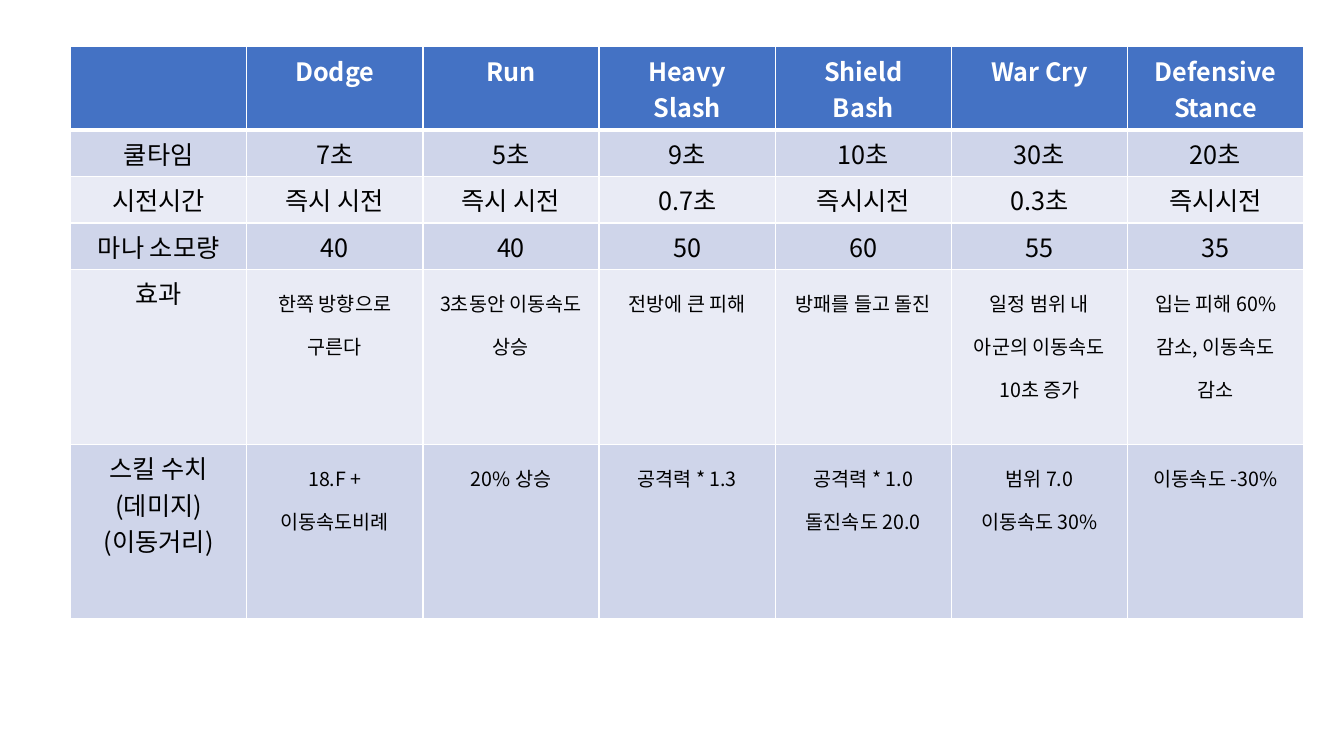
from lxml import etree
from pptx import Presentation, util as u
from pptx.dml.color import RGBColor
from pptx.enum import text
from pptx.oxml import ns

FONT = "Noto Sans CJK KR"
COLORS = {
    "header": "4472C4",
    "band_dark": "CFD5EA",
    "band_light": "E9EBF5",
    "border": "FFFFFF",
    "header_text": "FFFFFF",
    "body_text": "000000",
}
ROW_HEIGHTS = [1.93, 1.12, 1.12, 1.12, 4.4, 4.4]
FIRST_DETAIL_ROW = 4
SKILLS = [
    ["", "Dodge", "Run", "Heavy\nSlash", "Shield\nBash", "War Cry", "Defensive\nStance"],
    ["쿨타임", "7초", "5초", "9초", "10초", "30초", "20초"],
    ["시전시간", "즉시 시전", "즉시 시전", "0.7초", "즉시시전", "0.3초", "즉시시전"],
    ["마나 소모량", "40", "40", "50", "60", "55", "35"],
    ["효과", "한쪽 방향으로 구른다", "3초동안 이동속도 상승", "전방에 큰 피해",
     "방패를 들고 돌진", "일정 범위 내 아군의 이동속도 10초 증가",
     "입는 피해 60% 감소, 이동속도 감소"],
    ["스킬 수치\n(데미지)\n(이동거리)", "18.F + 이동속도비례", "20% 상승", "공격력 * 1.3",
     "공격력 * 1.0\n돌진속도 20.0", "범위 7.0\n이동속도 30%", "이동속도 -30%"],
]


def write(frame, content, size=18, color="body_text", bold=False, spacing=None):
    """Fill a text frame with one centred paragraph per line of content."""
    for index, line in enumerate(content.split("\n")):
        para = frame.paragraphs[0] if index == 0 else frame.add_paragraph()
        para.alignment = text.PP_ALIGN.CENTER
        para.line_spacing = spacing
        para.font.size = u.Pt(size)
        if not line:
            continue
        span = para.add_run()
        span.text = line
        span.font.name = FONT
        span.font.size = u.Pt(size)
        span.font.bold = bold
        span.font.color.rgb = RGBColor.from_string(COLORS[color])
        east_asian = etree.SubElement(span._r.get_or_add_rPr(), ns.qn("a:ea"))
        east_asian.set("typeface", FONT)


def set_borders(cell, top=1, bottom=1):
    properties = cell._tc.get_or_add_tcPr()
    widths = {"lnL": 1, "lnR": 1, "lnT": top, "lnB": bottom}
    for position, (side, width) in enumerate(widths.items()):
        line = etree.Element(ns.qn(f"a:{side}"), w=str(u.Pt(width)))
        fill = etree.SubElement(line, ns.qn("a:solidFill"))
        etree.SubElement(fill, ns.qn("a:srgbClr"), val=COLORS["border"])
        properties.insert(position, line)


def format_cell(cell, content, row, column):
    is_header = row == 0
    is_detail = row >= FIRST_DETAIL_ROW and column > 0
    band = "header" if is_header else "band_dark" if row % 2 else "band_light"
    cell.fill.solid()
    cell.fill.fore_color.rgb = RGBColor.from_string(COLORS[band])
    set_borders(cell, top=3 if row == 1 else 1, bottom=3 if is_header else 1)
    write(cell.text_frame, content, size=14 if is_detail else 18,
          color="header_text" if is_header else "body_text",
          bold=is_header, spacing=1.5 if is_detail else None)


def add_skill_table(page, left, top, width):
    column_count = len(SKILLS[0])
    table = page.shapes.add_table(
        len(SKILLS), column_count, u.Cm(left), u.Cm(top),
        u.Cm(width), u.Cm(sum(ROW_HEIGHTS))).table
    for column in table.columns:
        column.width = u.Cm(width / column_count)
    for row, (height, entries) in enumerate(zip(ROW_HEIGHTS, SKILLS)):
        table.rows[row].height = u.Cm(height)
        for column, content in enumerate(entries):
            format_cell(table.cell(row, column), content, row, column)


def main():
    deck = Presentation()
    deck.slide_width, deck.slide_height = u.Cm(33.87), u.Cm(19.05)
    page = deck.slides.add_slide(deck.slide_layouts[6])
    add_skill_table(page, left=1.78, top=1.18, width=31.08)
    deck.save("out.pptx")


if __name__ == "__main__":
    main()
